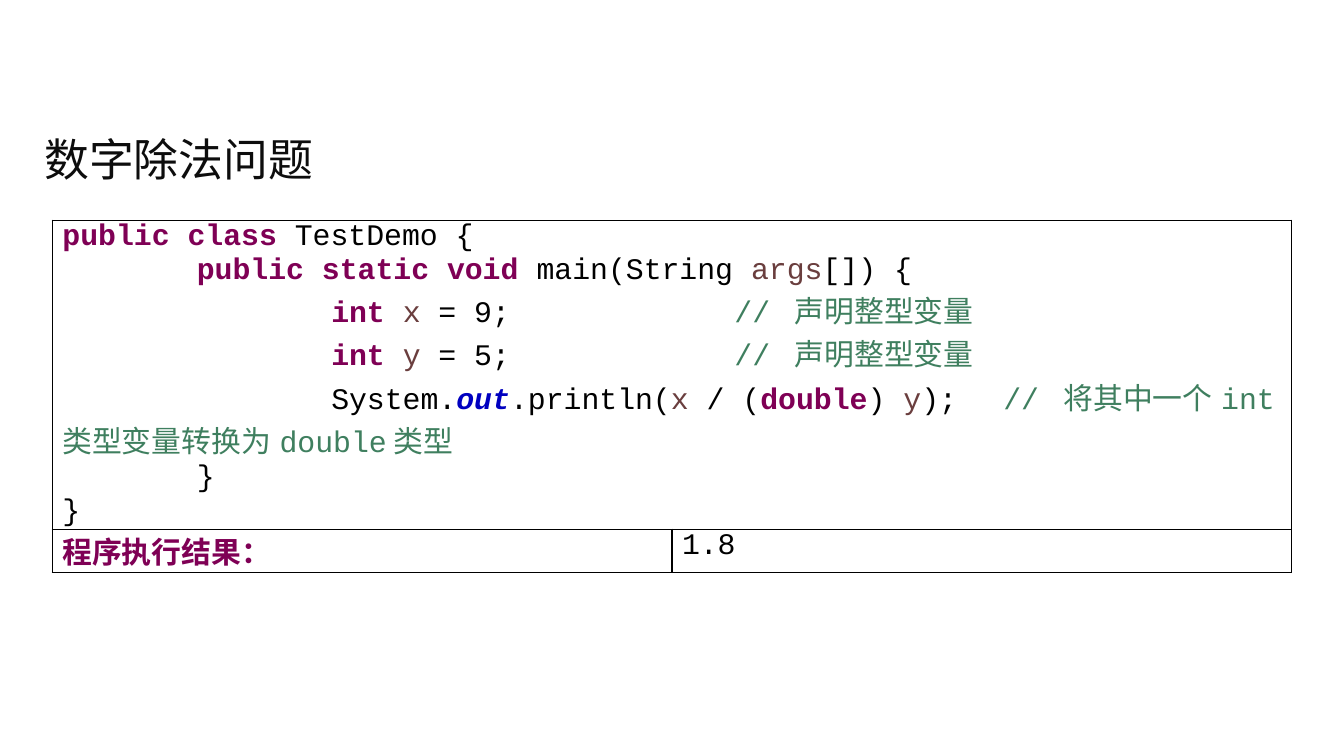
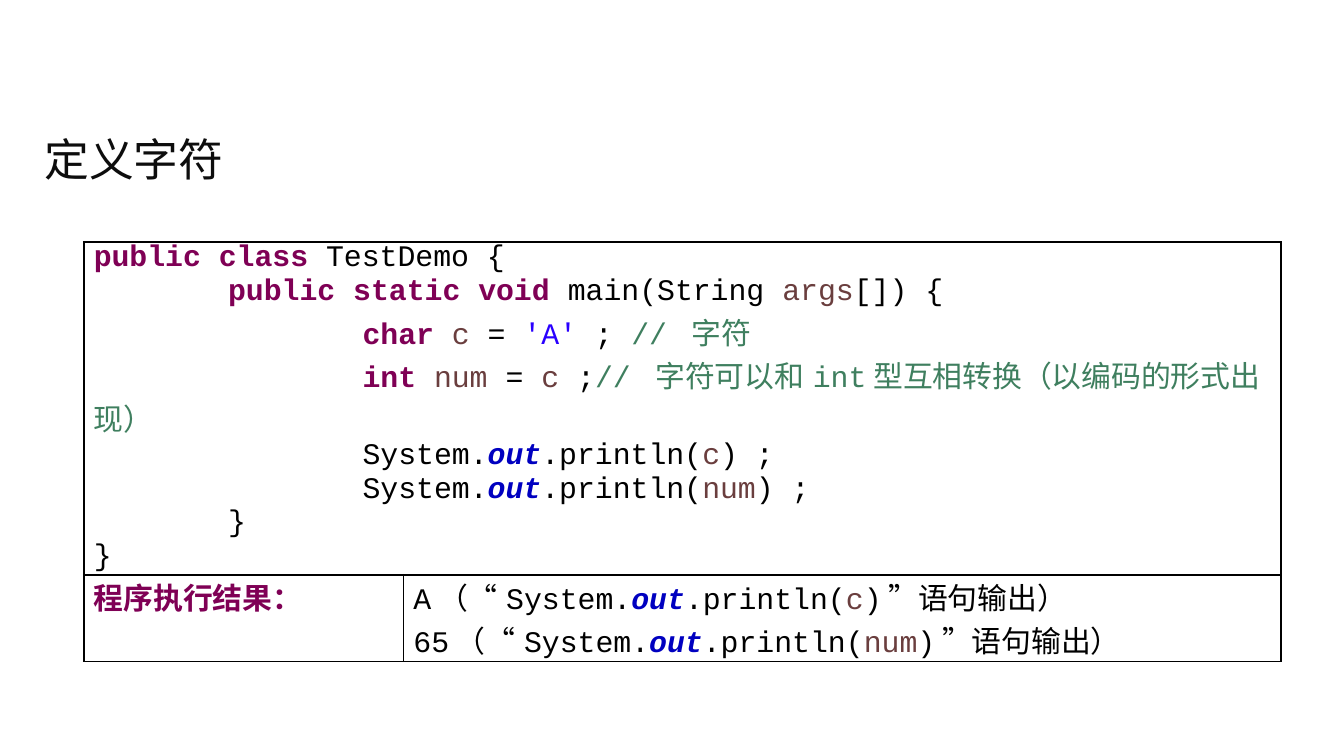
from pptx import Presentation
from pptx import util as u
from pptx.dml import color
from pptx.enum import text
from pptx.oxml import ns, xmlchemy

WIDTH, HEIGHT = u.Inches(10), u.Inches(5.625)
CJK_FONT, CODE_FONT = "Noto Sans CJK SC", "Courier New"
BLACK, TITLE_COLOUR = "000000", "0D0D0D"
TITLE_BOX = (2.3, 15.29, 95.3, 11.38)
TAB_STEP, TAB_COUNT = u.Inches(1), 8
MARKS = {
    "k": ("7F0055", {"bold": True}),
    "v": ("6A3E3E", {}),
    "s": ("2A00FF", {}),
    "c": ("3F7F5F", {}),
    "f": ("0000C0", {"bold": True, "italic": True}),
}
CLASS_HEAD = [
    "`kpublic class` TestDemo {",
    "\t`kpublic static void` main(String `vargs`[]) {",
]
CLASS_TAIL = ["\t}", "}"]
RESULT_LABEL = ["`k程序执行结果：`"]
SLIDES = [
    {
        "title": "数字除法问题",
        "box": (3.9, 29.16, 92.2, 42.67),
        "label_width": 50,
        "code_height": 87,
        "code": [
            "\t\t`kint ``vx` = 9;\t\t`c// 声明整型变量`",
            "\t\t`kint ``vy` = 5;\t\t`c// 声明整型变量`",
            "\t\tSystem.`fout`.println(`vx` / (`kdouble`) `vy`);\t"
            "`c// 将其中一个int类型变量转换为double类型`",
        ],
        "result": ["1.8"],
    },
    {
        "title": "定义字符",
        "box": (6.23, 32, 89.1, 47.47),
        "label_width": 26.7,
        "code_height": 76,
        "code": [
            "\t\t`kchar ``vc` = `s'A'` ;\t`c// 字符`",
            "\t\t`kint ``vnum` = `vc `;`c// 字符可以和int型互相转换（以编码的形式出现）`",
            "\t\tSystem.`fout`.println(`vc`) ;",
            "\t\tSystem.`fout`.println(`vnum`) ;",
        ],
        "result": [
            "A（“System.`fout`.println(`vc`)”语句输出）",
            "65（“System.`fout`.println(`vnum`)”语句输出）",
        ],
    },
]


def share(whole, percent):
    """Return a percentage of a length."""
    return u.Emu(round(whole * percent / 100))


def place(box):
    """Turn slide percentages into left, top, width and height."""
    return [share(whole, part) for whole, part in zip((WIDTH, HEIGHT) * 2, box)]


def apply(target, values):
    """Set each attribute of a dict of format values."""
    for name, value in values.items():
        setattr(target, name, value)


def add_span(para, words, hex_colour, latin, **values):
    """Add a run with its colour, Latin and East Asian fonts."""
    span = para.add_run()
    span.text = words
    apply(span.font, {"name": latin, "bold": False, "italic": False, **values})
    span.font.color.rgb = color.RGBColor.from_string(hex_colour)
    east_asian = xmlchemy.OxmlElement("a:ea")
    east_asian.set("typeface", CJK_FONT)
    span.font._element.find(ns.qn("a:latin")).addnext(east_asian)


def add_tabs(para):
    """Give a paragraph evenly spaced left tab stops."""
    stops = xmlchemy.OxmlElement("a:tabLst")
    for number in range(1, TAB_COUNT + 1):
        stop = xmlchemy.OxmlElement("a:tab")
        stop.set("pos", str(number * TAB_STEP))
        stop.set("algn", "l")
        stops.append(stop)
    para._p.get_or_add_pPr().append(stops)


def write_code(frame, lines):
    """Write lines in which backticks enclose a mark letter and its text."""
    for number, line in enumerate(lines):
        para = frame.add_paragraph() if number else frame.paragraphs[0]
        add_tabs(para)
        for index, piece in enumerate(line.split("`")):
            if index % 2:
                hex_colour, values = MARKS[piece[0]]
                add_span(para, piece[1:], hex_colour, CODE_FONT, size=u.Pt(16), **values)
            elif piece:
                add_span(para, piece, BLACK, CODE_FONT, size=u.Pt(16))


def format_cell(cell):
    """Give a cell thin black borders, no fill and narrow margins."""
    properties = cell._tc.get_or_add_tcPr()
    for side in "LRTB":
        border = xmlchemy.OxmlElement(f"a:ln{side}")
        border.set("w", str(u.Pt(1)))
        fill = xmlchemy.OxmlElement("a:solidFill")
        shade = xmlchemy.OxmlElement("a:srgbClr")
        shade.set("val", BLACK)
        fill.append(shade)
        border.append(fill)
        properties.append(border)
    cell.fill.background()
    side_margin = u.Pt(5.4)
    apply(cell, {"margin_left": side_margin, "margin_right": side_margin,
                 "margin_top": 0, "margin_bottom": 0})


def add_title(page, words, box):
    """Place and format the title placeholder."""
    title = page.shapes.title
    apply(title, dict(zip(("left", "top", "width", "height"), place(box))))
    apply(title.text_frame, {"vertical_anchor": text.MSO_ANCHOR.MIDDLE,
                             "auto_size": text.MSO_AUTO_SIZE.NONE, "word_wrap": True})
    para = title.text_frame.paragraphs[0]
    para.alignment = text.PP_ALIGN.LEFT
    add_span(para, words, TITLE_COLOUR, CJK_FONT, size=u.Pt(24))


def add_listing(page, content):
    """Add the code cell above the result label and the result."""
    left, top, width, height = place(content["box"])
    table = page.shapes.add_table(2, 2, left, top, width, height).table
    apply(table, {"first_row": False, "horz_banding": False})
    label, code = content["label_width"], content["code_height"]
    for column, part in zip(table.columns, (label, 100 - label)):
        column.width = share(width, part)
    for row, part in zip(table.rows, (code, 100 - code)):
        row.height = share(height, part)
    for cell in table.iter_cells():
        format_cell(cell)
    table.cell(0, 0).merge(table.cell(0, 1))
    write_code(table.cell(0, 0).text_frame, CLASS_HEAD + content["code"] + CLASS_TAIL)
    write_code(table.cell(1, 0).text_frame, RESULT_LABEL)
    write_code(table.cell(1, 1).text_frame, content["result"])


def main():
    """Build and save the deck."""
    deck = Presentation()
    apply(deck, {"slide_width": WIDTH, "slide_height": HEIGHT})
    for content in SLIDES:
        page = deck.slides.add_slide(deck.slide_layouts[5])
        add_title(page, content["title"], TITLE_BOX)
        add_listing(page, content)
    deck.save("out.pptx")


if __name__ == "__main__":
    main()
